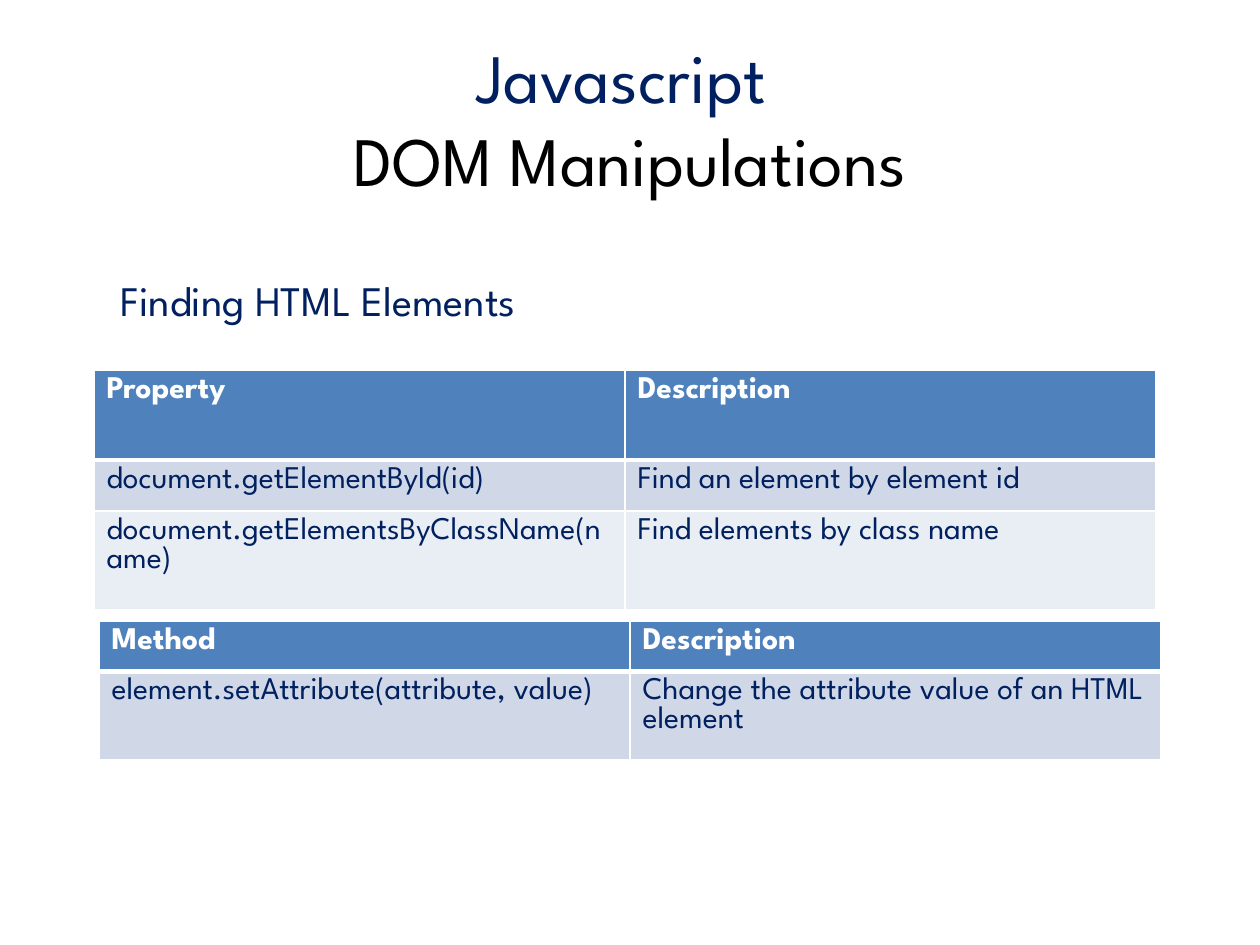
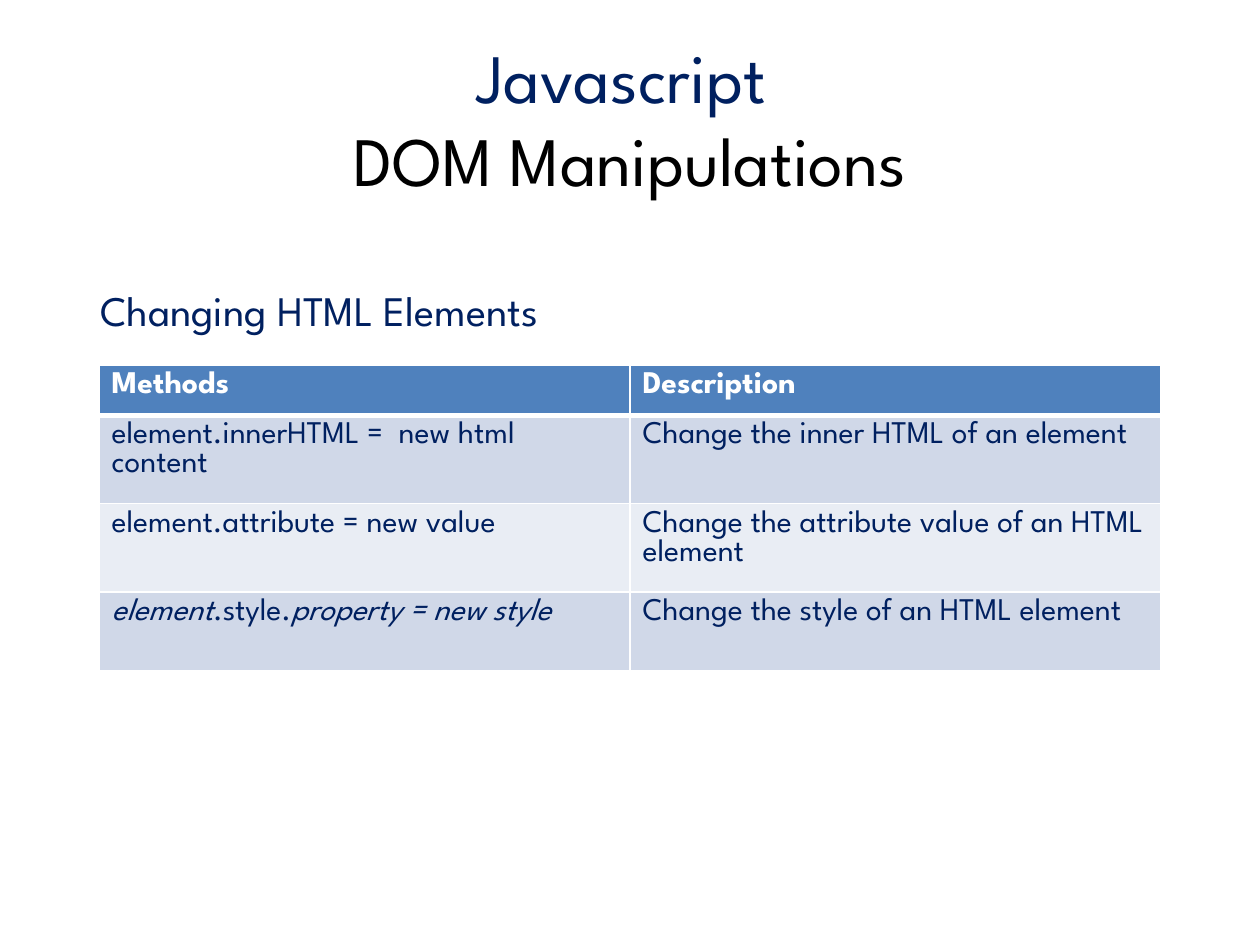
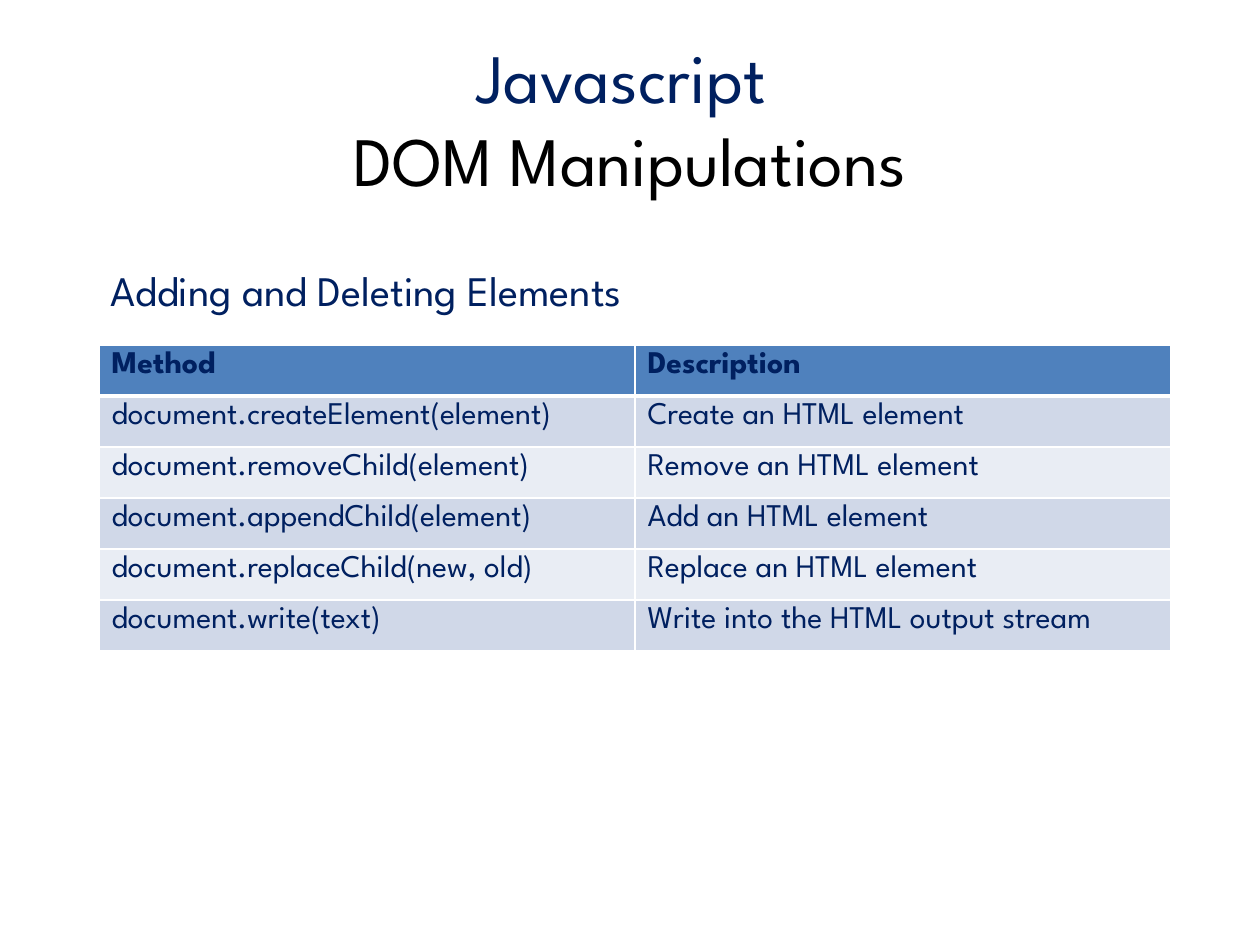
from dataclasses import dataclass

from lxml.etree import SubElement
from pptx import Presentation
from pptx.dml.color import RGBColor
from pptx.enum.text import MSO_ANCHOR, PP_ALIGN
from pptx.oxml.ns import qn
from pptx.util import Emu, Pt


@dataclass(frozen=True)
class Theme:
    font: str = "League Spartan"
    navy: str = "002060"
    black: str = "000000"
    white: str = "FFFFFF"
    header_fill: str = "4F81BD"
    band_fills: tuple = ("D0D8E8", "E9EDF4")
    title_size: float = 39.6
    title_leading: float = 47.5
    heading_size: int = 24
    heading_leading: int = 30
    table_size: int = 18
    rule: int = 1
    header_rule: int = 3


THEME = Theme()
PX_PER_INCH = 126


def px(length):
    return Emu(round(length * 914400 / PX_PER_INCH))


# Text
def add_run(paragraph, text, size, color, bold=False, italic=False):
    run = paragraph.add_run()
    run.text = text
    font = run.font
    font.name, font.size = THEME.font, Pt(size)
    font.bold, font.italic = bold, italic
    font.color.rgb = RGBColor.from_string(color)


def add_text_frame(slide, left, top, width, height, leading):
    frame = slide.shapes.add_textbox(px(left), px(top), px(width), px(height)).text_frame
    frame.word_wrap = True
    frame.paragraphs[0].line_spacing = Pt(leading)
    return frame


def add_title(slide):
    frame = add_text_frame(slide, 63, 38, 1134, 158, THEME.title_leading)
    frame.vertical_anchor = MSO_ANCHOR.MIDDLE
    title = frame.paragraphs[0]
    title.alignment = PP_ALIGN.CENTER
    add_run(title, "Javascript ", THEME.title_size, THEME.navy)
    title.add_line_break()
    add_run(title, "DOM Manipulations", THEME.title_size, THEME.black)


def add_heading(slide, text, left, top):
    frame = add_text_frame(slide, left, top, 1033, 63, THEME.heading_leading)
    add_run(frame.paragraphs[0], text, THEME.heading_size, THEME.navy)


# Tables
def set_borders(cell, bottom):
    properties = cell._tc.get_or_add_tcPr()
    widths = {"a:lnL": THEME.rule, "a:lnR": THEME.rule, "a:lnT": THEME.rule, "a:lnB": bottom}
    for tag, width in widths.items():
        line = SubElement(properties, qn(tag), w=str(Pt(width)))
        fill = SubElement(line, qn("a:solidFill"))
        SubElement(fill, qn("a:srgbClr"), val=THEME.white)


def fill_cell(cell, content, fill, color, is_header):
    set_borders(cell, THEME.header_rule if is_header else THEME.rule)
    cell.fill.solid()
    cell.fill.fore_color.rgb = RGBColor.from_string(fill)
    # Mixed text is a list of (text, italic) parts
    parts = [(content, False)] if isinstance(content, str) else content
    for text, italic in parts:
        add_run(cell.text_frame.paragraphs[0], text, THEME.table_size, color, is_header, italic)


def add_reference_table(slide, left, top, column_width, heights, rows, header_color=THEME.white):
    columns = len(rows[0])
    table = slide.shapes.add_table(len(rows), columns, px(left), px(top),
                                   px(column_width * columns), px(sum(heights))).table
    for column in table.columns:
        column.width = px(column_width)
    for index, (height, contents) in enumerate(zip(heights, rows)):
        table.rows[index].height = px(height)
        is_header = index == 0
        fill = THEME.header_fill if is_header else THEME.band_fills[(index - 1) % 2]
        color = header_color if is_header else THEME.navy
        for cell, content in zip(table.rows[index].cells, contents):
            fill_cell(cell, content, fill, color, is_header)


def add_topic_slide(deck, heading, left, top):
    slide = deck.slides.add_slide(deck.slide_layouts[6])
    add_title(slide)
    add_heading(slide, heading, left, top)
    return slide


def main():
    deck = Presentation()
    deck.slide_width, deck.slide_height = px(1260), px(945)

    # Finding elements
    finding = add_topic_slide(deck, "Finding HTML Elements", 108, 266)
    add_reference_table(finding, 94, 370, 531, [90, 51, 99], [
        ("Property", "Description"),
        ("document.getElementById(id)", "Find an element by element id"),
        ("document.getElementsByClassName(name)", "Find elements by class name"),
    ])
    add_reference_table(finding, 99, 621, 531, [49, 88], [
        ("Method", "Description"),
        ("element.setAttribute(attribute, value)",
         "Change the attribute value of an HTML element"),
    ])

    # Changing elements
    changing = add_topic_slide(deck, "Changing HTML Elements", 88, 276)
    add_reference_table(changing, 99, 365, 531, [50, 88, 88, 79], [
        ("Methods", "Description"),
        ("element.innerHTML =  new html content", "Change the inner HTML of an element"),
        ("element.attribute = new value", "Change the attribute value of an HTML element"),
        ([("element", True), (".style.", False), ("property = new style", True)],
         "Change the style of an HTML element"),
    ])

    # Adding and deleting elements
    adding = add_topic_slide(deck, "Adding and Deleting Elements", 98, 256)
    add_reference_table(adding, 99, 345, 536, [51] * 6, [
        ("Method", "Description"),
        ("document.createElement(element)", "Create an HTML element"),
        ("document.removeChild(element)", "Remove an HTML element"),
        ("document.appendChild(element)", "Add an HTML element"),
        ("document.replaceChild(new, old)", "Replace an HTML element"),
        ("document.write(text)", "Write into the HTML output stream"),
    ], header_color=THEME.navy)

    deck.save("out.pptx")


if __name__ == "__main__":
    main()
